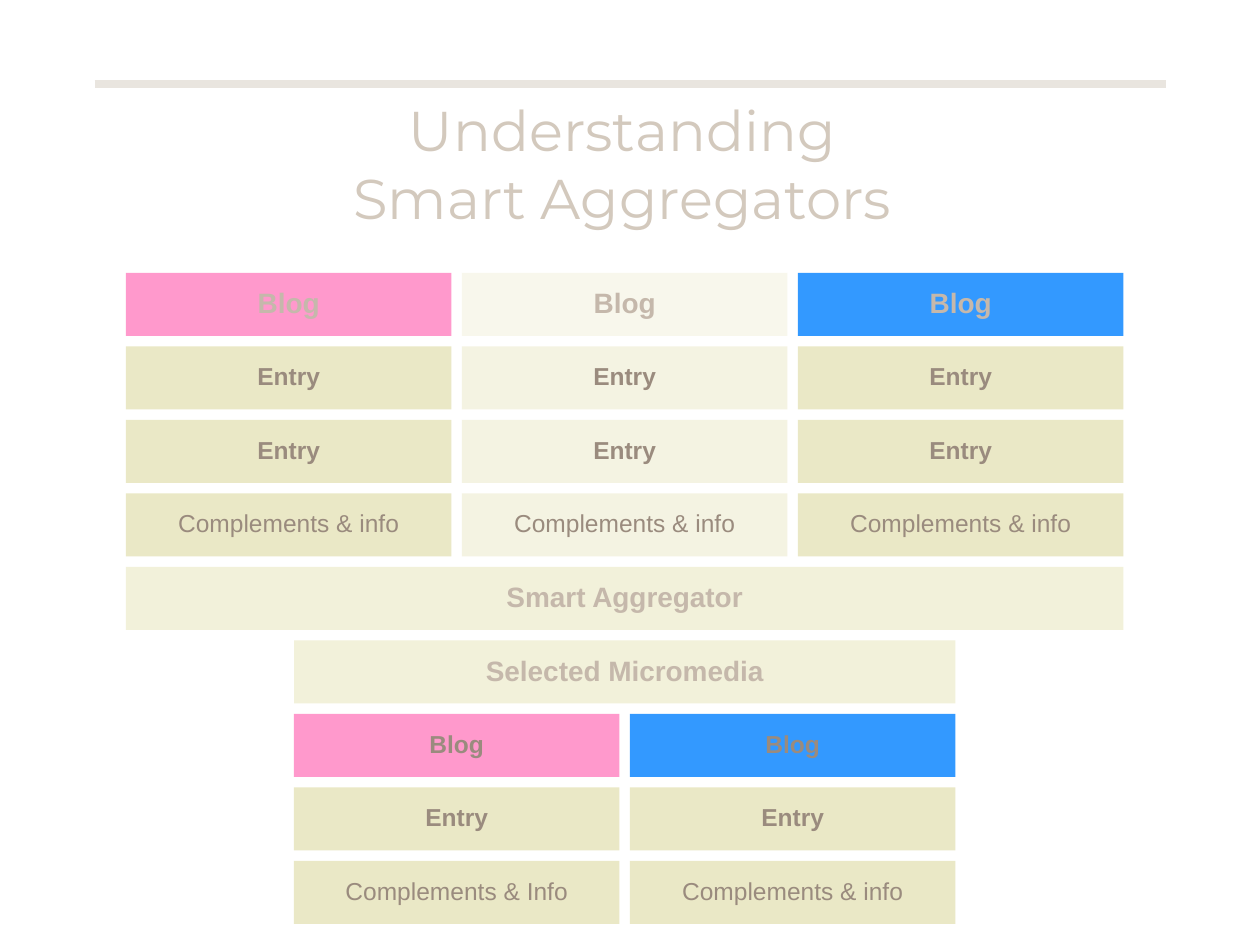
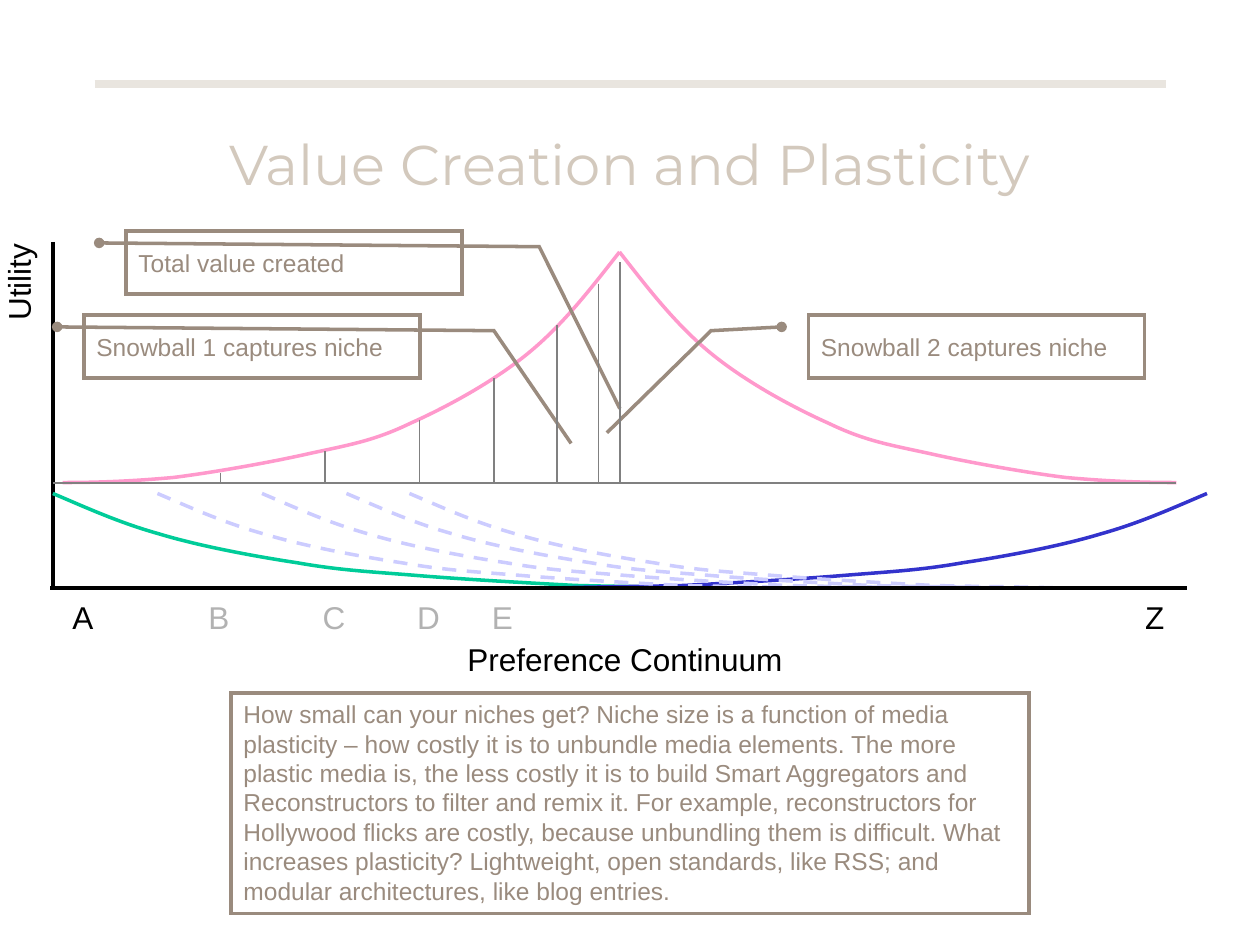
"""Build two slides on smart aggregators and media plasticity."""
from lxml.etree import SubElement
from pptx import Presentation
from pptx.dml.color import RGBColor
from pptx.enum.dml import MSO_LINE
from pptx.enum.shapes import MSO_CONNECTOR, MSO_SHAPE
from pptx.enum.text import MSO_ANCHOR, MSO_AUTO_SIZE, PP_ALIGN
from pptx.oxml.ns import qn
from pptx.util import Cm, Pt

COLORS = {
    "rule": "E9E5DF", "title": "D3C9BD", "heading": "C5B8AB", "text": "9A8B7E",
    "entry": "EAE8C6", "aggregator": "F2F1DA", "pink": "FF99CC", "blue": "3399FF",
    "black": "000000", "white": "FFFFFF", "guide": "808080", "faded": "B2B2B2",
    "first_niche": "00CC99", "last_niche": "3333CC", "inner_niche": "CCCCFF",
}
COLUMN_PITCH, ROW_PITCH, GAP = 8 / 3, 7 / 12, 1 / 12
GRID_LEFT, GRID_TOP = 1, 13 / 6
BASELINE, AXIS = 23 / 6, 14 / 3
PEAK = (59 / 12, 2)
VALUE_CURVE = [
    (0, 0), (.22, .28), (.44, .57), (.72, .8), (1, 1.03), (1.37, 1.23),
    (1.66, 1.36), (1.95, 1.5), (2.14, 1.53), (2.46, 1.6), (2.77, 1.67),
    (3.22, 1.75), (3.54, 1.79), (3.87, 1.82), (4.14, 1.83), (4.42, 1.83)]
NICHE_CURVE = [
    (0, 0), (.26, .11), (.52, .23), (.84, .32), (1.17, .42), (1.61, .5),
    (1.94, .55), (2.28, .61), (2.51, .62), (2.88, .65), (3.24, .68),
    (3.77, .71), (4.15, .73), (4.53, .74), (4.85, .74), (5.17, .75)]
PLASTICITY = (
    "How small can your niches get? Niche size is a function of media plasticity – "
    "how costly it is to unbundle media elements. The more plastic media is, the less "
    "costly it is to build Smart Aggregators and Reconstructors to filter and remix it. "
    "For example, reconstructors for Hollywood flicks are costly, because unbundling "
    "them is difficult. What increases plasticity? Lightweight, open standards, like "
    "RSS; and modular architectures, like blog entries.")


def inch(value):
    """Convert inches on the slide grid to a length."""
    return Cm(2.54 * value)


def rgb(name):
    """Look up a named colour."""
    return RGBColor.from_string(COLORS[name])


def write(shape, text, size, color, align=PP_ALIGN.LEFT, bold=False,
          font="Arial", spacing=None, wrap=True, anchor=MSO_ANCHOR.MIDDLE):
    """Put formatted text into a shape."""
    frame = shape.text_frame
    frame.text = text
    frame.word_wrap = wrap
    frame.auto_size = MSO_AUTO_SIZE.NONE
    frame.vertical_anchor = anchor
    for paragraph in frame.paragraphs:
        paragraph.alignment = align
        paragraph.line_spacing = spacing
        for run in paragraph.runs:
            run.font.name = font
            run.font.size = Pt(size)
            run.font.bold = bold
            run.font.color.rgb = rgb(color)


def add_line(slide, start, end, color, width):
    """Draw a straight line without shadow."""
    line = slide.shapes.add_connector(
        MSO_CONNECTOR.STRAIGHT, *map(inch, start), *map(inch, end))
    line.line.color.rgb = rgb(color)
    line.line.width = Pt(width)
    SubElement(line.element.spPr, qn("a:effectLst"))
    return line


def add_titled_slide(prs, title):
    """Add a slide with a formatted title."""
    slide = prs.slides.add_slide(prs.slide_layouts[5])
    heading = slide.shapes.title
    heading.left, heading.top, heading.width, heading.height = map(
        inch, (0.75, 0.67, 8.5, 1.25))
    write(heading, title, 32, "title", PP_ALIGN.CENTER, font="Montserrat")
    return slide


def move_rule_to_master(prs, slide):
    """Place the rule above the titles on the slide master."""
    rule = add_line(slide, (0.75, 2 / 3), (9.25, 2 / 3), "rule", 4.5).element
    rule.nvCxnSpPr.cNvPr.id = 20
    prs.slide_master.element.cSld.spTree.append(rule)


def add_box(slide, place, kind=MSO_SHAPE.RECTANGLE, fill=None, border=None):
    """Add a preset shape with an optional fill and border."""
    box = slide.shapes.add_shape(kind, *map(inch, place))
    box.shadow.inherit = False
    if fill:
        box.fill.solid()
        box.fill.fore_color.rgb = rgb(fill)
    else:
        box.fill.background()
    if border:
        box.line.color.rgb = rgb(border)
        box.line.width = Pt(2)
        SubElement(outline(box), qn("a:miter"), lim="800000")
    else:
        box.line.fill.background()
    return box


def outline(shape):
    """Return the line element of a shape."""
    return shape.element.spPr.find(qn("a:ln"))


def add_block(slide, row, column, text, fill, heading=False, bold=True,
              span=1, faded=False):
    """Add one block of the media grid."""
    block = add_box(slide, (GRID_LEFT + column * COLUMN_PITCH,
                            GRID_TOP + row * ROW_PITCH,
                            span * COLUMN_PITCH - GAP, ROW_PITCH - GAP), fill=fill)
    size, color = (16, "heading") if heading else (14, "text")
    write(block, text, size, color, PP_ALIGN.CENTER, bold, spacing=0.9, wrap=False)
    if faded:
        fill_color = next(block.element.spPr.iter(qn("a:srgbClr")))
        SubElement(fill_color, qn("a:alpha"), val="50000")


def add_label(slide, place, text, color="black", align=PP_ALIGN.RIGHT, rotation=0):
    """Add an axis label."""
    label = slide.shapes.add_textbox(*map(inch, place))
    label.rotation = rotation
    write(label, text, 18, color, align, spacing=0.9, wrap=False)


def add_callout(slide, left, top, text, adjustments):
    """Add a bordered callout with a dotted pointer."""
    callout = add_box(slide, (left, top, 8 / 3, 0.5), MSO_SHAPE.LINE_CALLOUT_2,
                      border="text")
    for index, value in enumerate(adjustments):
        callout.adjustments[index] = value
    SubElement(outline(callout), qn("a:headEnd"), type="oval")
    write(callout, text, 14, "text")


def bend(curve):
    """Turn each three line segments of a freeform into one cubic curve."""
    segments = list(curve.element.spPr.iter(qn("a:lnTo")))
    for first in range(0, len(segments), 3):
        bezier = SubElement(segments[first].getparent(), qn("a:cubicBezTo"))
        for segment in segments[first:first + 3]:
            bezier.append(segment[0])
            segment.getparent().remove(segment)


def add_curve(slide, start, controls, color, direction=1, dashed=False):
    """Draw a curve from its start, to the right or mirrored to the left."""
    points = [(inch(start[0] + direction * x), inch(start[1] + y)) for x, y in controls]
    builder = slide.shapes.build_freeform(*points[0])
    builder.add_line_segments(points[1:], close=False)
    curve = builder.convert_to_shape()
    bend(curve)
    curve.shadow.inherit = False
    curve.fill.background()
    curve.line.color.rgb = rgb(color)
    curve.line.width = Pt(2)
    if dashed:
        curve.line.dash_style = MSO_LINE.DASH


def build_aggregator_slide(prs):
    """Show blogs flowing through an aggregator into selected micromedia."""
    slide = add_titled_slide(prs, "Understanding \vSmart Aggregators ")
    move_rule_to_master(prs, slide)
    for column, blog_fill in enumerate(("pink", "aggregator", "blue")):
        faded = column == 1
        add_block(slide, 0, column, "Blog", blog_fill, heading=True, faded=faded)
        for row in (1, 2):
            add_block(slide, row, column, "Entry", "entry", faded=faded)
        add_block(slide, 3, column, "Complements & info", "entry", bold=False, faded=faded)
    add_block(slide, 4, 0, "Smart Aggregator", "aggregator", heading=True, span=3)
    add_block(slide, 5, 0.5, "Selected Micromedia", "aggregator", heading=True, span=2)
    selected = ((0.5, "pink", "Complements & Info"), (1.5, "blue", "Complements & info"))
    for column, blog_fill, complements in selected:
        add_block(slide, 6, column, "Blog", blog_fill)
        add_block(slide, 7, column, "Entry", "entry")
        add_block(slide, 8, column, complements, "entry", bold=False)


def build_plasticity_slide(prs):
    """Show utility over the preference continuum and who captures it."""
    slide = add_titled_slide(prs, "Value Creation and Plasticity")
    add_line(slide, (0.42, 1.92), (0.42, AXIS), "black", 2)
    add_label(slide, (3.42, 5, 3.08, 0.5), "Preference Continuum", align=PP_ALIGN.CENTER)
    add_label(slide, (-0.5, 2.25, 1.33, 0.5), "Utility", rotation=270)
    for letter, left in zip("ABCDEZ", (0.42, 1.5, 2.42, 3.17, 3.75, 8.92)):
        add_label(slide, (left, AXIS, 0.42, 0.5), letter,
                  "black" if letter in "AZ" else "faded")

    for direction in (-1, 1):
        add_curve(slide, PEAK, VALUE_CURVE, "pink", direction)
    explanation = add_box(slide, (11 / 6, 5.5, 19 / 3, 1.75), fill="white", border="text")
    write(explanation, PLASTICITY, 14, "text", anchor=MSO_ANCHOR.TOP)

    add_callout(slide, 2 / 3, 2.5, "Snowball 1 captures niche",
                (0.19, -0.08, 0.25, 1.22, 2.04, 1.45))
    for left in (0.42, 4.83):
        add_line(slide, (left, BASELINE), (left + 4.5, BASELINE), "guide", 0.75)
    add_callout(slide, 1, 11 / 6, "Total value created",
                (0.19, -0.08, 0.25, 1.23, 2.82, 1.47))
    add_callout(slide, 77 / 12, 2.5, "Snowball 2 captures niche",
                (0.19, -0.08, 0.25, -0.29, 1.87, -0.6))

    niche_top = AXIS - 0.75
    add_curve(slide, (0.42, niche_top), NICHE_CURVE, "first_niche")
    add_curve(slide, (9.58, niche_top), NICHE_CURVE, "last_niche", direction=-1)
    for left in (1.25, 2.08, 2.75, 3.25):
        add_curve(slide, (left, niche_top), NICHE_CURVE, "inner_niche", dashed=True)
    add_line(slide, (0.4, AXIS), (9.42, AXIS), "black", 2)
    slices = ((1.75, 3.75), (2.58, 3.58), (3.33, 3.33), (3.92, 3),
              (4.42, 2.58), (4.75, 2.25), (4.92, 2.08))
    for left, top in slices:
        add_line(slide, (left, top), (left, BASELINE), "guide", 0.75)


def main():
    """Build and save the presentation."""
    prs = Presentation()
    prs.slide_width, prs.slide_height = inch(10), inch(7.5)
    build_aggregator_slide(prs)
    build_plasticity_slide(prs)
    prs.save("out.pptx")


if __name__ == "__main__":
    main()
